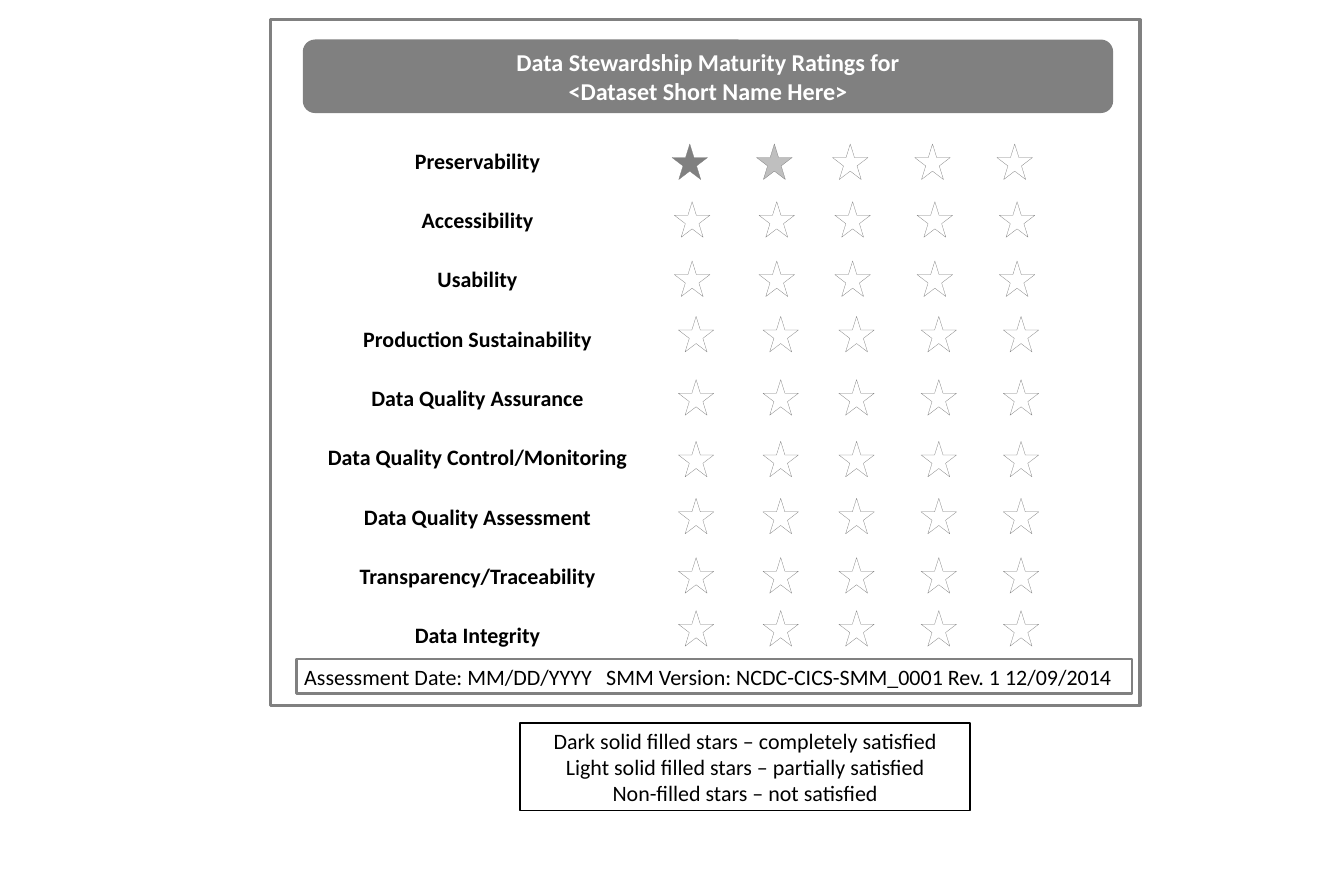
from dataclasses import dataclass
from itertools import accumulate
from lxml.etree import SubElement
from pptx import Presentation
from pptx.dml.color import RGBColor
from pptx.enum.shapes import MSO_SHAPE
from pptx.enum.text import MSO_ANCHOR, PP_ALIGN
from pptx.oxml.ns import qn
from pptx.util import Inches, Pt


@dataclass(frozen=True)
class Theme:
    """Font, type sizes and colours of the slide."""
    font: str = "Calibri"
    head: int = 22
    body: int = 20
    dark: str = "808080"
    light: str = "BFBFBF"
    edge: str = "7F7F7F"
    white: str = "FFFFFF"
    black: str = "000000"


THEME = Theme()
STEPS = [1.07, 0.96, 1.04, 1.04, 1.04]
LABEL, ROW, STAR = 4.92, 0.75, 0.45
# Each rating: name, left and top of its first star within the table.
RATINGS = [
    ("Preservability", 4.92, 0.15),
    ("Accessibility", 4.95, 0.88),
    ("Usability", 4.95, 1.63),
    ("Production Sustainability", 5, 2.33),
    ("Data Quality Assurance", 5, 3.13),
    ("Data Quality Control/Monitoring", 5, 3.91),
    ("Data Quality Assessment", 5, 4.63),
    ("Transparency/Traceability", 5, 5.38),
    ("Data Integrity", 5, 6.05),
]
FILLS = {(0, 0): THEME.dark, (0, 1): THEME.light}


def write(frame, text, size=THEME.body, color=THEME.black, bold=False,
          align=PP_ALIGN.CENTER):
    """Fill a text frame, one paragraph for each line of text."""
    frame.word_wrap = True
    for i, line in enumerate(text.split("\n")):
        para = frame.add_paragraph() if i else frame.paragraphs[0]
        para.alignment = align
        run = para.add_run()
        run.text = line
        font = run.font
        font.name, font.size, font.bold = THEME.font, Pt(size), bold
        font.color.rgb = RGBColor.from_string(color)


def draw(shapes, kind, box, fill=None, line=None, width=1):
    """Add a flat preset shape in a box of inches."""
    shape = shapes.add_shape(kind, *map(Inches, box))
    shape.shadow.inherit = False
    if fill:
        shape.fill.solid()
        shape.fill.fore_color.rgb = RGBColor.from_string(fill)
    else:
        shape.fill.background()
    if line:
        shape.line.color.rgb = RGBColor.from_string(line)
        shape.line.width = Pt(width)
    else:
        shape.line.fill.background()
    return shape


def add_grid(slide, left, top):
    """Add the table that names the ratings."""
    cols = [LABEL, *STEPS]
    count = len(RATINGS)
    table = slide.shapes.add_table(
        count, len(cols), Inches(left), Inches(top),
        Inches(sum(cols)), Inches(ROW * count)).table
    table.first_row = table.horz_banding = False
    for col, width in zip(table.columns, cols):
        col.width = Inches(width)
    for cell in table.iter_cells():
        cell.fill.solid()
        cell.fill.fore_color.rgb = RGBColor.from_string(THEME.white)
        cell.vertical_anchor = MSO_ANCHOR.MIDDLE
    for i, (name, _, _) in enumerate(RATINGS):
        write(table.cell(i, 0).text_frame, name, bold=True)


def add_stars(slide, left, top):
    """Add one group of five stars for each rating."""
    for row, (_, x, y) in enumerate(RATINGS):
        group = slide.shapes.add_group_shape()
        for col, step in enumerate(accumulate(STEPS[:-1], initial=0)):
            draw(group.shapes, MSO_SHAPE.STAR_5_POINT,
                 (left + x + step, top + y, STAR, STAR),
                 fill=FILLS.get((row, col), THEME.white),
                 line=THEME.edge, width=0.25)


def add_panel(slide, left, top, width, height):
    """Add the framed ratings panel with its title and footer."""
    shapes = slide.shapes
    add_grid(slide, left + 0.16, top + 1.42)
    title = draw(shapes, MSO_SHAPE.ROUNDED_RECTANGLE,
                 (left + 0.41, top + 0.25, width - 0.75, 0.93),
                 fill=THEME.dark)
    write(title.text_frame,
          "Data Stewardship Maturity Ratings for\n<Dataset Short Name Here>",
          size=THEME.head, color=THEME.white, bold=True)
    draw(shapes, MSO_SHAPE.RECTANGLE, (left, top, width, height),
         line=THEME.dark, width=3)
    foot = draw(shapes, MSO_SHAPE.RECTANGLE,
                (left + 0.33, top + 8.08, width - 0.43, 0.44),
                line=THEME.dark, width=2.25)
    write(foot.text_frame, "Assessment Date: MM/DD/YYYY\t"
          "SMM Version: NCDC-CICS-SMM_0001 Rev. 1 12/09/2014",
          align=PP_ALIGN.LEFT)
    props = foot.text_frame.paragraphs[0]._p.get_or_add_pPr()
    tabs = SubElement(props, qn("a:tabLst"))
    SubElement(tabs, qn("a:tab"), pos=str(Inches(3.82)), algn="l")
    add_stars(slide, left + 0.16, top + 1.42)


def add_key(slide, *box):
    """Add the key to the star fills."""
    key = draw(slide.shapes, MSO_SHAPE.RECTANGLE, box,
               line=THEME.black, width=1.5)
    write(key.text_frame, "Dark solid filled stars – completely satisfied\n"
          "Light solid filled stars – partially satisfied\n"
          "Non-filled stars – not satisfied")


def build():
    """Build the slide and save it."""
    deck = Presentation()
    deck.slide_width, deck.slide_height = Inches(17), Inches(11)
    slide = deck.slides.add_slide(deck.slide_layouts[6])
    add_panel(slide, 3.42, 0.25, 11, 8.67)
    add_key(slide, 6.58, 9.14, 5.69, 1.11)
    deck.save("out.pptx")


build()
